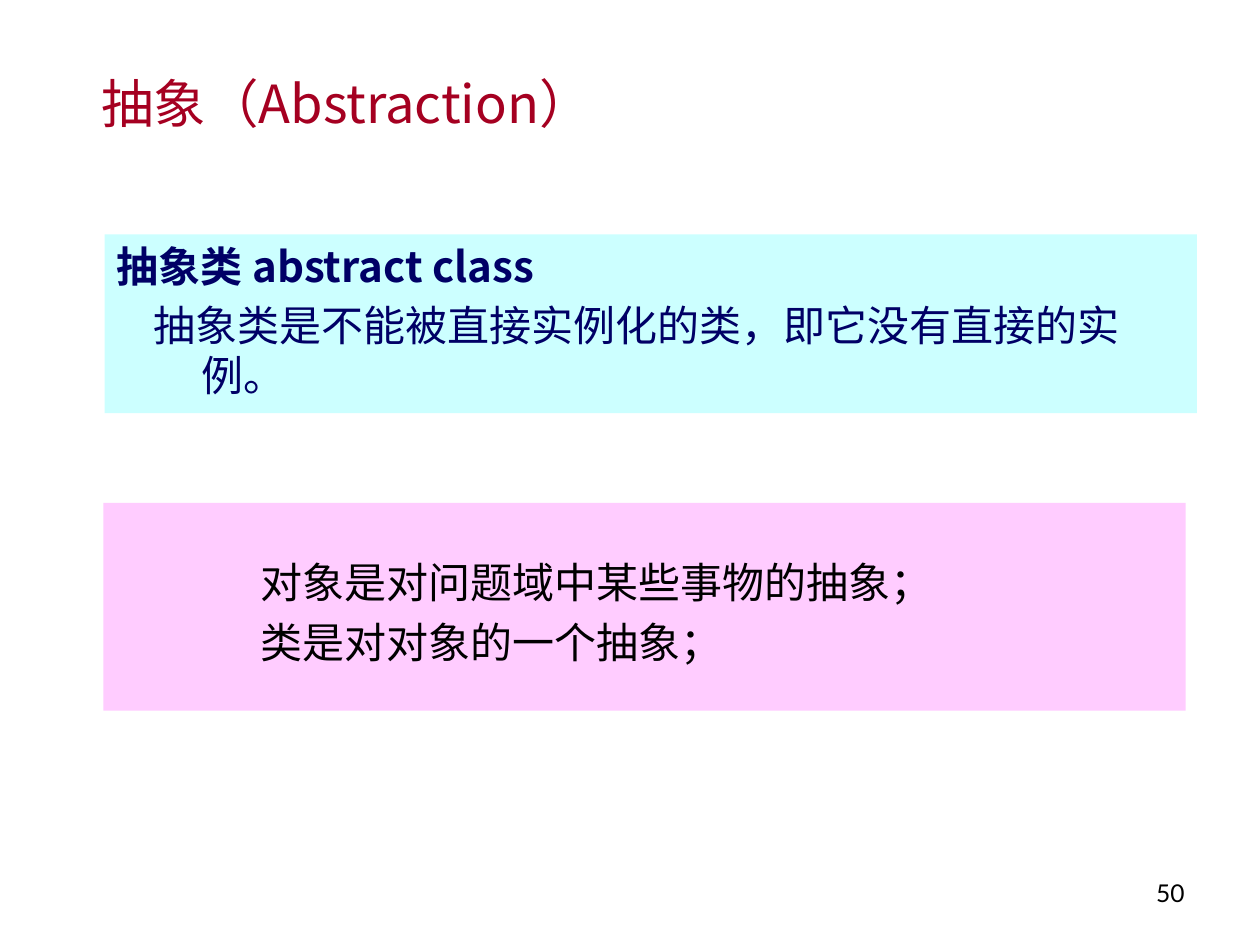
from pptx import Presentation
from pptx.dml.color import RGBColor
from pptx.enum.shapes import MSO_SHAPE
from pptx.enum.text import MSO_ANCHOR, PP_ALIGN
from pptx.oxml.ns import qn
from pptx.util import Inches, Pt

COLORS = {
    "title": "A50021",
    "definition_text": "000066",
    "definition_fill": "CCFFFF",
    "summary_fill": "FFCCFF",
    "text": "000000",
}
CHINESE_FONT = "Noto Sans CJK SC"
LATIN_FONT = "Lato"


def color(name):
    return RGBColor.from_string(COLORS[name])


def add_panel(page, kind, left, top, width, height, fill=None, anchor=MSO_ANCHOR.TOP):
    panel = page.shapes.add_shape(
        kind, Inches(left), Inches(top), Inches(width), Inches(height))
    panel.shadow.inherit = False
    if fill:
        panel.fill.solid()
        panel.fill.fore_color.rgb = color(fill)
    else:
        panel.fill.background()
    panel.line.fill.background()
    panel.text_frame.word_wrap = True
    panel.text_frame.vertical_anchor = anchor
    return panel


def write(box, lines, size, font, ink, spacing=1.0, align=PP_ALIGN.LEFT):
    box.text_frame.text = "\n".join(lines)
    for para in box.text_frame.paragraphs:
        para.alignment = align
        para.line_spacing = spacing
        for span in para.runs:
            span.font.size = Pt(size)
            span.font.name = font
            span.font.color.rgb = color(ink)
            east_asian = span.font._element.makeelement(qn("a:ea"), {"typeface": CHINESE_FONT})
            span.font._element.find(qn("a:latin")).addnext(east_asian)
    return box.text_frame.paragraphs


def hang(para, margin, indent):
    properties = para._p.get_or_add_pPr()
    properties.set("marL", str(Inches(margin)))
    properties.set("indent", str(Inches(indent)))


def add_title(page):
    title = add_panel(page, MSO_SHAPE.ROUNDED_RECTANGLE, 0.67, 0.6, 7, 0.56,
                      anchor=MSO_ANCHOR.BOTTOM)
    title.adjustments[0] = 0.22
    write(title, ["抽象（Abstraction）"], 30, CHINESE_FONT, "title", 0.9)


def add_definition(page):
    panel = add_panel(page, MSO_SHAPE.RECTANGLE, 0.83, 1.86, 8.67, 1.42, "definition_fill")
    panel.text_frame.margin_right = Inches(0.3)
    term, meaning = write(
        panel,
        ["抽象类 abstract class", "抽象类是不能被直接实例化的类，即它没有直接的实例。"],
        24, CHINESE_FONT, "definition_text")
    term.runs[0].font.bold = True
    meaning.space_before = Pt(4.8)
    hang(meaning, 0.67, -0.38)


def add_summary(page):
    panel = add_panel(page, MSO_SHAPE.RECTANGLE, 0.82, 3.99, 8.59, 1.65, "summary_fill",
                      MSO_ANCHOR.MIDDLE)
    panel.text_frame.margin_left = Inches(1.25)
    write(panel, ["对象是对问题域中某些事物的抽象；", "类是对对象的一个抽象；"],
          24, LATIN_FONT, "text", 1.2)


def add_page_number(page):
    number = page.shapes.add_textbox(Inches(7.42), Inches(6.92), Inches(2.08), Inches(0.5))
    number.text_frame.word_wrap = True
    write(number, ["50"], 14, LATIN_FONT, "text", align=PP_ALIGN.RIGHT)


def main():
    deck = Presentation()
    deck.slide_width, deck.slide_height = Inches(10), Inches(7.5)
    page = deck.slides.add_slide(deck.slide_layouts[6])
    add_page_number(page)
    add_definition(page)
    add_summary(page)
    add_title(page)
    deck.save("out.pptx")


if __name__ == "__main__":
    main()
